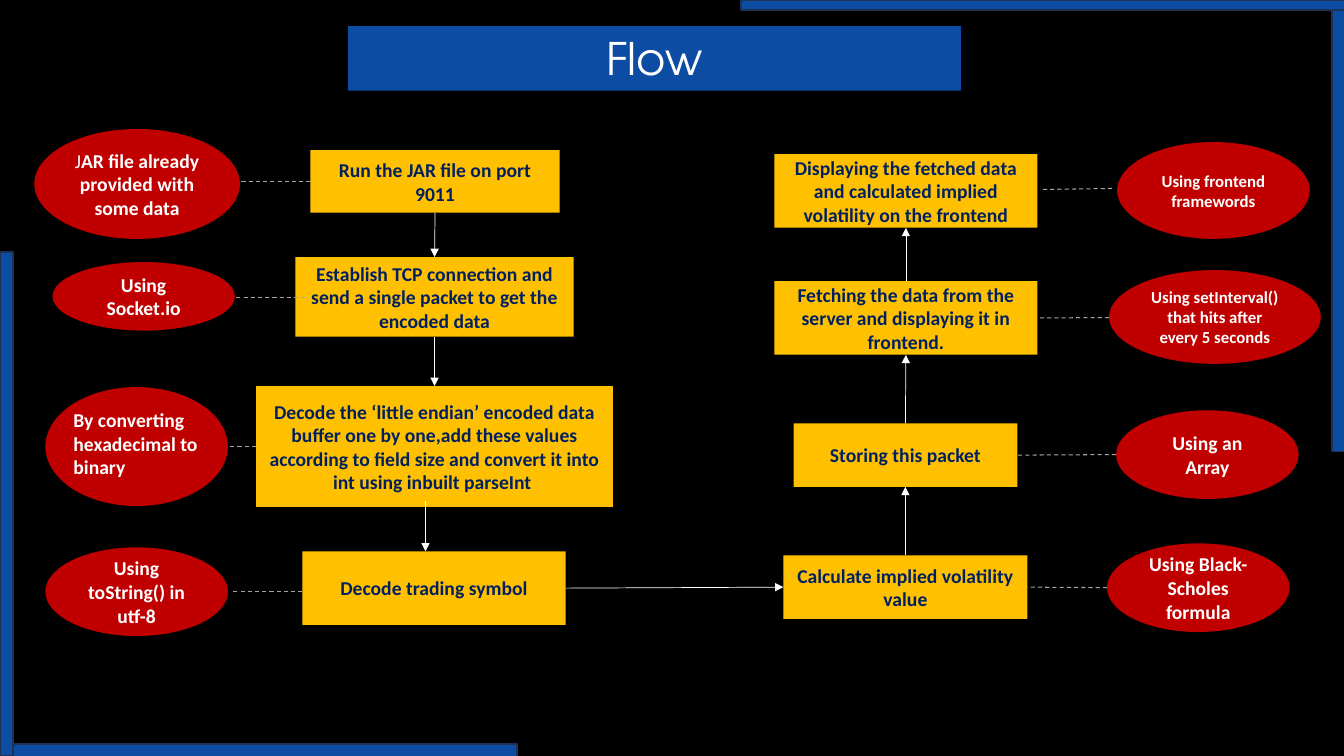
"""Build the Flow slide: two columns of steps with a note beside each one."""
from dataclasses import dataclass

from lxml.etree import SubElement
from pptx import Presentation
from pptx.dml.color import RGBColor
from pptx.enum.dml import MSO_LINE
from pptx.enum.shapes import MSO_CONNECTOR, MSO_SHAPE
from pptx.enum.text import MSO_ANCHOR, PP_ALIGN
from pptx.oxml.ns import qn
from pptx.util import Inches, Pt


@dataclass(frozen=True)
class Theme:
    """Colours, fonts and type sizes of the slide."""
    background: str = "000000"
    blue: str = "0C4CA3"
    blue_edge: str = "1E3256"
    step: str = "FFC000"
    step_text: str = "002060"
    note: str = "C00000"
    light: str = "FFFFFF"
    dash: str = "A5A5A5"
    title_font: str = "TeX Gyre Adventor"
    body_font: str = "Calibri"
    title_size: float = 32
    body_size: float = 14
    small_size: float = 12


THEME = Theme()
TOP, LEFT, BOTTOM, RIGHT = range(4)

FRAME_BARS = [
    (0, 2.5, 0.13, 5),
    (13.21, -0.01, 0.13, 4.49),
    (7.35, 0, 5.99, 0.1),
    (0.13, 7.38, 5, 0.13),
]
TITLE = ("Flow", (3.45, 0.26, 6.08, 0.64))
STEPS = {
    "run": ("Run the JAR file on port 9011", (3.08, 1.49, 2.47, 0.62)),
    "connect": ("Establish TCP connection and send a single packet to get the encoded data",
                (2.93, 2.55, 2.76, 0.79)),
    "decode": ("Decode the ‘little endian’ encoded data buffer one by one,add these values "
               "according to field size and convert it into int using inbuilt parseInt ",
               (2.54, 3.83, 3.54, 1.2)),
    "symbol": ("Decode trading symbol", (3, 5.47, 2.61, 0.73)),
    "calculate": ("Calculate implied volatility value", (7.77, 5.51, 2.42, 0.63)),
    "store": ("Storing this packet", (7.87, 4.2, 2.22, 0.63)),
    "fetch": ("Fetching the data from the server and displaying it in frontend.",
              (7.68, 2.79, 2.61, 0.73)),
    "display": ("Displaying the fetched data and calculated implied volatility on the frontend",
                (7.68, 1.53, 2.61, 0.73)),
}
ARROWS = [
    (("run", BOTTOM), ("connect", TOP)),
    (("connect", BOTTOM), ("decode", TOP)),
    ((4.22, 4.97), (4.22, 5.47)),
    (("symbol", RIGHT), ("calculate", LEFT)),
    (("calculate", TOP), ("store", BOTTOM)),
    (("store", TOP), ("fetch", BOTTOM)),
    (("fetch", TOP), ("display", BOTTOM)),
]
NOTES = [
    ([("J", False), ("AR file already provided with some data", True)],
     (0.34, 1.28, 2.04, 1.09), THEME.body_size),
    ([("Using Socket.io", True)], (0.52, 2.6, 1.81, 0.68), THEME.body_size),
    ([], (0.45, 3.84, 1.81, 1.18), THEME.body_size),
    ([("Using toString() in utf-8", True)], (0.45, 5.43, 1.81, 0.88), THEME.body_size),
    ([("Using Black-Scholes formula", True)], (10.98, 5.39, 1.81, 0.88), THEME.body_size),
    ([("Using an Array", True)], (11.07, 4.07, 1.81, 0.88), THEME.body_size),
    ([("Using setInterval() that hits after every 5 seconds", True)],
     (11, 2.68, 2.1, 0.93), THEME.small_size),
    ([("Using frontend framewords", True)], (11.08, 1.41, 1.91, 0.96), THEME.small_size),
]
CONVERTING = ([("By converting hexadecimal to binary", True)], (0.63, 4, 1.91, 0.81))
DASHES = [
    (("run", LEFT), (2.38, 1.8)),
    ((3.03, 2.95), (2.34, 2.95)),
    (("decode", LEFT), (2.27, 4.43)),
    ((3, 5.87), (2.31, 5.87)),
    ((10.98, 5.83), ("calculate", RIGHT)),
    ((11.07, 4.51), ("store", RIGHT)),
    ((11, 3.15), ("fetch", RIGHT)),
    ((11.03, 1.87), (10.32, 1.88)),
]


def colour(value):
    return RGBColor.from_string(value)


def write(box, spans, *, size=THEME.body_size, font=THEME.body_font, ink=THEME.light,
          align=PP_ALIGN.CENTER, anchor=MSO_ANCHOR.MIDDLE):
    """Write (text, bold) spans as one paragraph."""
    frame = box.text_frame
    frame.word_wrap = True
    frame.vertical_anchor = anchor
    para = frame.paragraphs[0]
    para.alignment = align
    for text, bold in spans:
        span = para.add_run()
        span.text = text
        span.font.name, span.font.size, span.font.bold = font, Pt(size), bold
        span.font.color.rgb = colour(ink)


def add_box(page, area, fill, *, preset=MSO_SHAPE.RECTANGLE, edge=None):
    """Add a flat filled shape."""
    box = page.shapes.add_shape(preset, *map(Inches, area))
    box.shadow.inherit = False
    box.fill.solid()
    box.fill.fore_color.rgb = colour(fill)
    if edge:
        box.line.color.rgb = colour(edge)
        box.line.width = Pt(1)
    else:
        box.line.fill.background()
    return box


def locate(end):
    """Turn a point or a (step, side) pair into a point."""
    if not isinstance(end[0], str):
        return end
    name, side = end
    left, top, width, height = STEPS[name][1]
    across, down = {TOP: (0.5, 0), LEFT: (0, 0.5), BOTTOM: (0.5, 1), RIGHT: (1, 0.5)}[side]
    return left + width * across, top + height * down


def add_line(page, boxes, start, end, *, ink, width, arrow=False):
    """Draw an arrow or a dashed line, joined to the steps it names."""
    points = map(Inches, (*locate(start), *locate(end)))
    line = page.shapes.add_connector(MSO_CONNECTOR.STRAIGHT, *points)
    for place, join in ((start, line.begin_connect), (end, line.end_connect)):
        if isinstance(place[0], str):
            join(boxes[place[0]], place[1])
    line.line.color.rgb = colour(ink)
    line.line.width = Pt(width)
    if arrow:
        SubElement(line.line._get_or_add_ln(), qn("a:tailEnd"), type="triangle")
    else:
        line.line.dash_style = MSO_LINE.DASH
    SubElement(line._element.spPr, qn("a:effectLst"))


def main():
    deck = Presentation()
    deck.slide_width, deck.slide_height = Inches(13.33), Inches(7.5)
    page = deck.slides.add_slide(deck.slide_layouts[6])
    page.background.fill.solid()
    page.background.fill.fore_color.rgb = colour(THEME.background)

    for area in FRAME_BARS:
        add_box(page, area, THEME.blue, edge=THEME.blue_edge)
    title, area = TITLE
    write(add_box(page, area, THEME.blue), [(title, False)], size=THEME.title_size,
          font=THEME.title_font, anchor=MSO_ANCHOR.TOP)

    boxes = {}
    for name, (text, area) in STEPS.items():
        boxes[name] = add_box(page, area, THEME.step)
        write(boxes[name], [(text, True)], ink=THEME.step_text)
    for start, end in ARROWS:
        add_line(page, boxes, start, end, ink=THEME.light, width=0.5, arrow=True)

    for spans, area, size in NOTES:
        write(add_box(page, area, THEME.note, preset=MSO_SHAPE.OVAL), spans, size=size)
    spans, area = CONVERTING
    write(page.shapes.add_textbox(*map(Inches, area)), spans,
          align=PP_ALIGN.LEFT, anchor=MSO_ANCHOR.TOP)
    for start, end in DASHES:
        add_line(page, boxes, start, end, ink=THEME.dash, width=0.75)

    deck.save("out.pptx")


if __name__ == "__main__":
    main()
